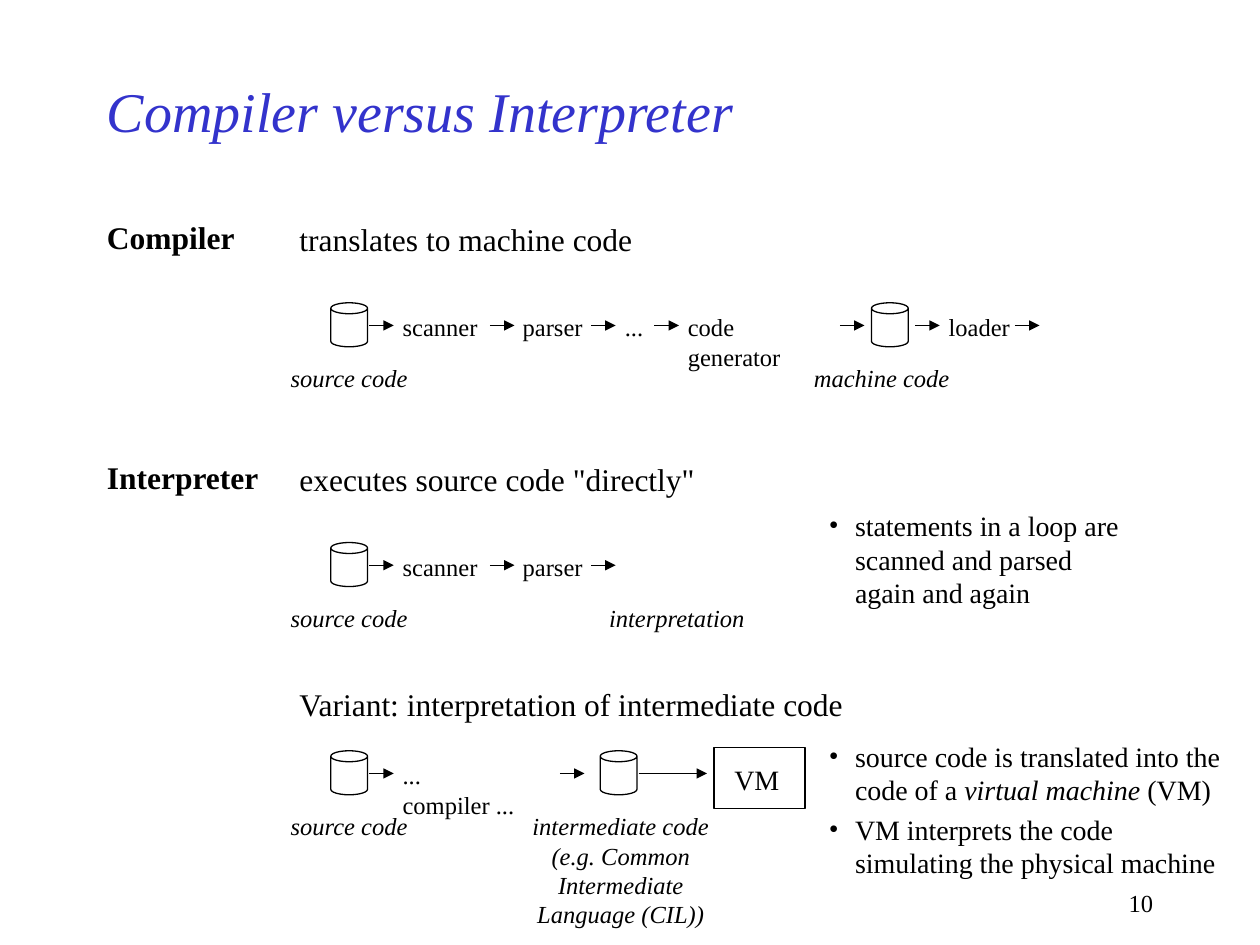
"""Build the slide that contrasts a compiler with an interpreter."""
from lxml import etree
from pptx import Presentation
from pptx.dml.color import RGBColor
from pptx.enum import shapes, text
from pptx.oxml.ns import qn
from pptx.util import Pt

COLORS = {"ink": "000000", "title": "3333CC"}
FONT = "Times New Roman"
LEFT, CENTER, RIGHT = text.PP_ALIGN.LEFT, text.PP_ALIGN.CENTER, text.PP_ALIGN.RIGHT
ARROW_LENGTH = 14
CAN_SIZE = 21, 25.2
LABEL_HEIGHT = 24

HEADINGS = [
    ("Compiler", 54, 121, 87, True),
    ("translates to machine code", 164, 122, 204.5, False),
    ("Interpreter", 54, 258, 101.5, True),
    ('executes source code "directly"', 164, 259.2, 240.5, False),
    ("Variant: interpretation of intermediate code", 164, 388, 327.6, False),
]

FLOWS = [
    {
        "axis": 186,
        "cans": [189, 498],
        "steps": [("scanner", 223, 57), ("parser", 291.6, 48), ("...", 350, 24.5),
                  ("code\vgenerator", 386, 97), ("loader", 535, 49)],
        "arrows": [211, 280, 337.8, 374, 480, 523, 580],
        "captions": [("source code", 159, 82), ("machine code", 458, 91.4)],
    },
    {
        "axis": 323,
        "cans": [189],
        "steps": [("scanner", 223, 57), ("parser", 291.6, 48)],
        "arrows": [211, 280, 337.8],
        "captions": [("source code", 159, 82), ("interpretation", 341, 92)],
    },
    {
        "axis": 442,
        "cans": [189, 343],
        "steps": [("...\vcompiler ...", 223, 92)],
        "arrows": [211, 320],
        "captions": [("source code", 159, 82)],
    },
]

CIL_CAPTION = ["intermediate code", "(e.g. Common\vIntermediate\vLanguage (CIL))"]
NOTES = [
    (["statements in a loop are\vscanned and parsed\vagain and again"], 287, 181, 65),
    (["source code is translated into the\vcode of a *virtual machine* (VM)",
      "VM interprets the code\vsimulating the physical machine"], 419, 239, 88),
]


def color(key):
    return RGBColor.from_string(COLORS[key])


def add_bullet(paragraph):
    properties = paragraph._p.get_or_add_pPr()
    properties.set("marL", str(Pt(15)))
    properties.set("indent", str(-Pt(15)))
    etree.SubElement(properties, qn("a:buFont")).set("typeface", FONT)
    etree.SubElement(properties, qn("a:buChar")).set("char", "•")


def add_text(paragraphs, left, top, width, height, size, bold=False, italic=False,
             align=LEFT, bullets=False, ink="ink", anchor=text.MSO_ANCHOR.TOP):
    """Add a text box; asterisks enclose italic words."""
    box = slide.shapes.add_textbox(Pt(left), Pt(top), Pt(width), Pt(height))
    frame = box.text_frame
    frame.word_wrap = True
    frame.vertical_anchor = anchor
    if align == LEFT:
        frame.margin_right = 0
    for index, words in enumerate(paragraphs):
        paragraph = frame.add_paragraph() if index else frame.paragraphs[0]
        paragraph.alignment = align
        if bullets:
            add_bullet(paragraph)
            if index:
                paragraph.space_before = Pt(3.2)
        for line_number, line in enumerate(words.split("\v")):
            if line_number:
                paragraph.add_line_break()
            for part, piece in enumerate(line.split("*")):
                run = paragraph.add_run()
                run.text = piece
                run.font.name, run.font.size = FONT, Pt(size)
                run.font.bold, run.font.italic = bold, italic or part % 2 == 1
                run.font.color.rgb = color(ink)


def add_outline(kind, left, top, width, height):
    outline = slide.shapes.add_shape(kind, Pt(left), Pt(top), Pt(width), Pt(height))
    outline.shadow.inherit = False
    outline.fill.background()
    outline.line.color.rgb = color("ink")
    outline.line.width = Pt(0.75)
    return outline


def add_arrow(left, axis, length=ARROW_LENGTH):
    arrow = slide.shapes.add_connector(
        shapes.MSO_CONNECTOR.STRAIGHT, Pt(left), Pt(axis), Pt(left + length), Pt(axis))
    arrow.line.color.rgb = color("ink")
    arrow.line.width = Pt(0.75)
    etree.SubElement(arrow.line._get_or_add_ln(), qn("a:tailEnd")).set("type", "triangle")
    etree.SubElement(arrow._element.spPr, qn("a:effectLst"))


def add_flow(flow):
    axis = flow["axis"]
    for left in flow["cans"]:
        can = add_outline(shapes.MSO_SHAPE.CAN, left, axis - 13, *CAN_SIZE)
        can.adjustments[0] = 0.3
    for step, left, width in flow["steps"]:
        add_text([step], left, axis - 11, width, LABEL_HEIGHT, 14)
    for left in flow["arrows"]:
        add_arrow(left, axis)
    for caption, left, width in flow["captions"]:
        add_text([caption], left, axis + 18, width, LABEL_HEIGHT, 14, italic=True)


presentation = Presentation()
presentation.slide_width, presentation.slide_height = Pt(720), Pt(540)
slide = presentation.slides.add_slide(presentation.slide_layouts[6])

add_text(["Compiler versus Interpreter"], 54, 36, 540, 54, 32, italic=True,
         ink="title", anchor=text.MSO_ANCHOR.MIDDLE)
for heading, left, top, width, bold in HEADINGS:
    add_text([heading], left, top, width, 29, 18, bold=bold)
for flow in FLOWS:
    add_flow(flow)

add_arrow(365, FLOWS[-1]["axis"], 39)
add_outline(shapes.MSO_SHAPE.RECTANGLE, 408, 427, 52, 35)
add_text(["VM"], 412.5, 432, 40, 26.5, 16)
add_text(CIL_CAPTION, 270.5, 460, 168.5, 57.6, 14, italic=True, align=CENTER)
for note, top, width, height in NOTES:
    add_text(note, 466.5, top, width, height, 16, bullets=True)
add_text(["10"], 516, 504, 150, LABEL_HEIGHT, 14, align=RIGHT)

presentation.save("out.pptx")
